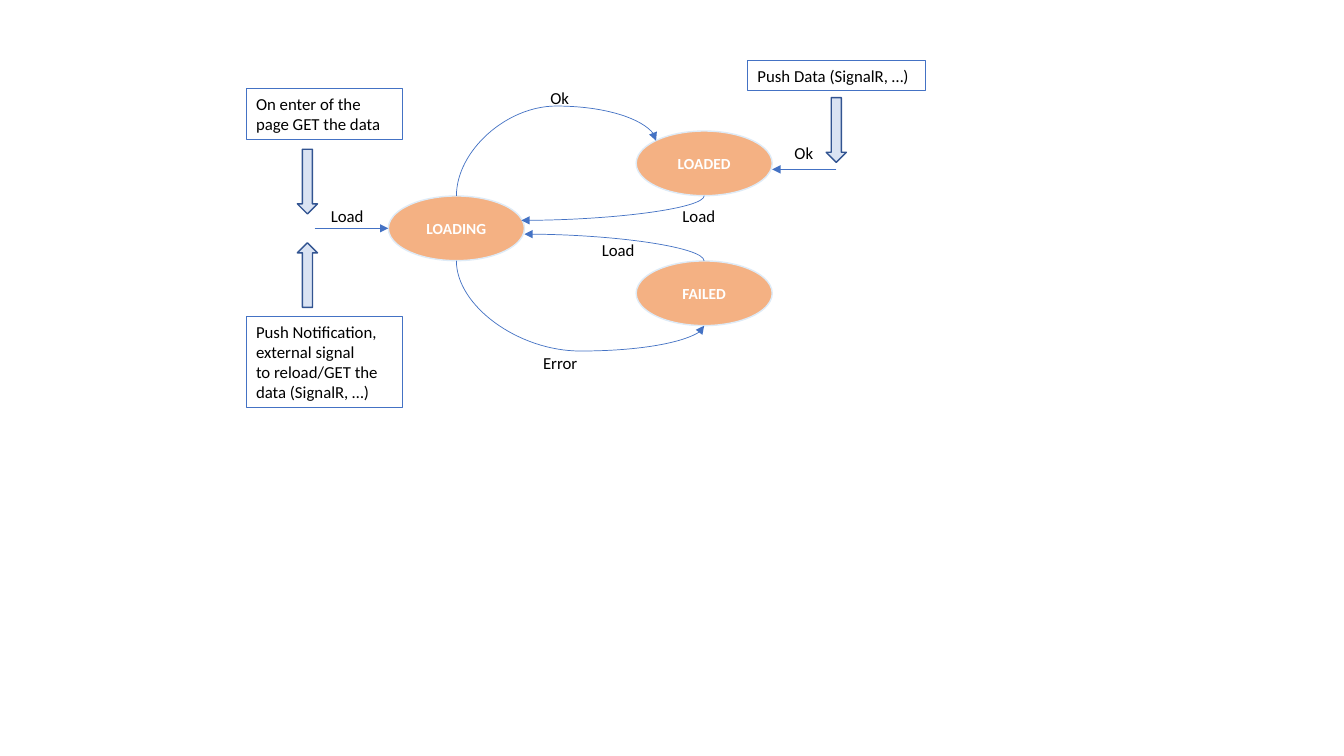
from lxml import etree
from pptx import Presentation
from pptx.dml.color import RGBColor
from pptx.enum.shapes import MSO_CONNECTOR, MSO_SHAPE
from pptx.enum.text import MSO_ANCHOR, MSO_AUTO_SIZE, PP_ALIGN
from pptx.oxml.ns import qn
from pptx.util import Pt

ELLIPSE, BOX, DOWN_ARROW = MSO_SHAPE.OVAL, MSO_SHAPE.RECTANGLE, MSO_SHAPE.DOWN_ARROW
STRAIGHT, CURVE = MSO_CONNECTOR.STRAIGHT, MSO_CONNECTOR.CURVE
LEFT, CENTER = PP_ALIGN.LEFT, PP_ALIGN.CENTER
TOP, MIDDLE = MSO_ANCHOR.TOP, MSO_ANCHOR.MIDDLE
FIT_SHAPE = MSO_AUTO_SIZE.SHAPE_TO_FIT_TEXT

COLORS = {
    "state": "F4B183", "state_edge": "DEEBF7", "state_text": "FFFFFF",
    "transition": "4472C4", "trigger": "DAE3F3", "trigger_edge": "325491",
    "text": "000000",
}
STATE_W, STATE_H = 97.2, 46.2
TRIGGER_W, TRIGGER_H = 14.4, 46.2
LABEL_H = 21.8


class StateDiagram:
    font = "Calibri"

    def __init__(self, slide):
        self.shapes = slide.shapes

    def color(self, name):
        return RGBColor.from_string(COLORS[name])

    def add_lines(self, frame, lines, size=12, color="text", bold=False, align=LEFT):
        for i, line in enumerate(lines):
            paragraph = frame.add_paragraph() if i else frame.paragraphs[0]
            paragraph.alignment = align
            run = paragraph.add_run()
            run.text = line
            run.font.name = self.font
            run.font.size = Pt(size)
            run.font.bold = bold
            run.font.color.rgb = self.color(color)

    def outlined(self, kind, left, top, width, height, edge, weight, fill=None):
        shape = self.shapes.add_shape(kind, Pt(left), Pt(top), Pt(width), Pt(height))
        shape.shadow.inherit = False
        if fill:
            shape.fill.solid()
            shape.fill.fore_color.rgb = self.color(fill)
        else:
            shape.fill.background()
        shape.line.color.rgb = self.color(edge)
        shape.line.width = Pt(weight)
        return shape

    def state(self, name, left, top):
        ellipse = self.outlined(ELLIPSE, left, top, STATE_W, STATE_H,
                                "state_edge", 1, "state")
        ellipse.text_frame.vertical_anchor = MIDDLE
        self.add_lines(ellipse.text_frame, [name], 11, "state_text", True, CENTER)

    def trigger(self, left, top, rotation=0):
        arrow = self.outlined(DOWN_ARROW, left, top, TRIGGER_W, TRIGGER_H,
                              "trigger_edge", 1, "trigger")
        arrow.rotation = rotation

    def note(self, lines, left, top, width, height):
        box = self.outlined(BOX, left, top, width, height, "transition", 0.75)
        frame = box.text_frame
        frame.word_wrap = True
        frame.auto_size = FIT_SHAPE
        frame.vertical_anchor = TOP
        self.add_lines(frame, lines)

    def label(self, text, left, top, width):
        box = self.shapes.add_textbox(Pt(left), Pt(top), Pt(width), Pt(LABEL_H))
        box.text_frame.word_wrap = False
        box.text_frame.auto_size = FIT_SHAPE
        self.add_lines(box.text_frame, [text])

    def transition(self, x1, y1, x2, y2, kind=STRAIGHT):
        link = self.shapes.add_connector(kind, Pt(x1), Pt(y1), Pt(x2), Pt(y2))
        link.line.color.rgb = self.color("transition")
        link.line.width = Pt(0.5)
        properties = link._element.spPr
        etree.SubElement(properties.find(qn("a:ln")), qn("a:tailEnd"), type="triangle")
        etree.SubElement(properties, qn("a:effectLst"))
        return link

    def curve(self, x1, y1, x2, y2, bulge=None):
        """Curve leaving vertically; bulge is the turning height as a share of
        the rise, and without it the curve arrives horizontally."""
        mid_x, mid_y = (x1 + x2) / 2, (y1 + y2) / 2
        half_w, half_h = (y2 - y1) / 2, (x1 - x2) / 2
        # Laid out on its side, then turned a quarter clockwise.
        link = self.transition(mid_x - half_w, mid_y - half_h,
                               mid_x + half_w, mid_y + half_h, CURVE)
        properties = link._element.spPr
        properties.find(qn("a:xfrm")).set("rot", "5400000")
        geometry = properties.find(qn("a:prstGeom"))
        if bulge is None:
            geometry.set("prst", "curvedConnector2")
        else:
            etree.SubElement(geometry.find(qn("a:avLst")), qn("a:gd"),
                             name="adj1", fmla=f"val {round(bulge * 100000)}")


def main():
    deck = Presentation()
    deck.slide_width, deck.slide_height = Pt(960), Pt(540)
    diagram = StateDiagram(deck.slides.add_slide(deck.slide_layouts[6]))

    loading_left, loading_top = 277.4, 140
    result_left, loaded_top, failed_top = 454.4, 93.6, 186.4
    loading_x = loading_left + STATE_W / 2
    loading_right = loading_left + STATE_W
    result_x = result_left + STATE_W / 2
    result_right = result_left + STATE_W

    diagram.state("LOADING", loading_left, loading_top)
    diagram.state("LOADED", result_left, loaded_top)
    diagram.state("FAILED", result_left, failed_top)

    entry_y, push_y = loading_top + STATE_H / 2, 121
    diagram.transition(224.8, entry_y, loading_left, entry_y)
    diagram.transition(597.4, push_y, result_right, push_y)
    diagram.curve(loading_x, loading_top, 468.6, 100.6, 1.63)
    diagram.curve(loading_x, loading_top + STATE_H,
                  result_x, failed_top + STATE_H, 1.39)
    diagram.curve(result_x, failed_top, loading_right, 167.2)
    diagram.curve(result_x, loaded_top + STATE_H, 372.4, 157.4)

    for text, left, top, width in [
        ("Ok", 386, 59.4, 28), ("Load", 480.4, 143.4, 38),
        ("Load", 422.8, 168, 38), ("Error", 380.8, 248.6, 39),
        ("Load", 229.2, 143.4, 38), ("Ok", 560.4, 98.6, 28),
    ]:
        diagram.label(text, left, top, width)

    for left, top, rotation in [(212.4, 106.6, 0), (590.2, 69.8, 0),
                                (212.4, 173.4, 180)]:
        diagram.trigger(left, top, rotation)

    note_left, note_width = 175.8, 111.8
    diagram.note(["On enter of the page GET the data"],
                 note_left, 63.2, note_width, 36.4)
    diagram.note(["Push Data (SignalR, …)"], 534, 43.2, 127, LABEL_H)
    diagram.note(["Push Notification,", "external signal",
                  "to reload/GET the data (SignalR, …)"],
                 note_left, 226, note_width, 65.4)

    deck.save("out.pptx")


if __name__ == "__main__":
    main()
